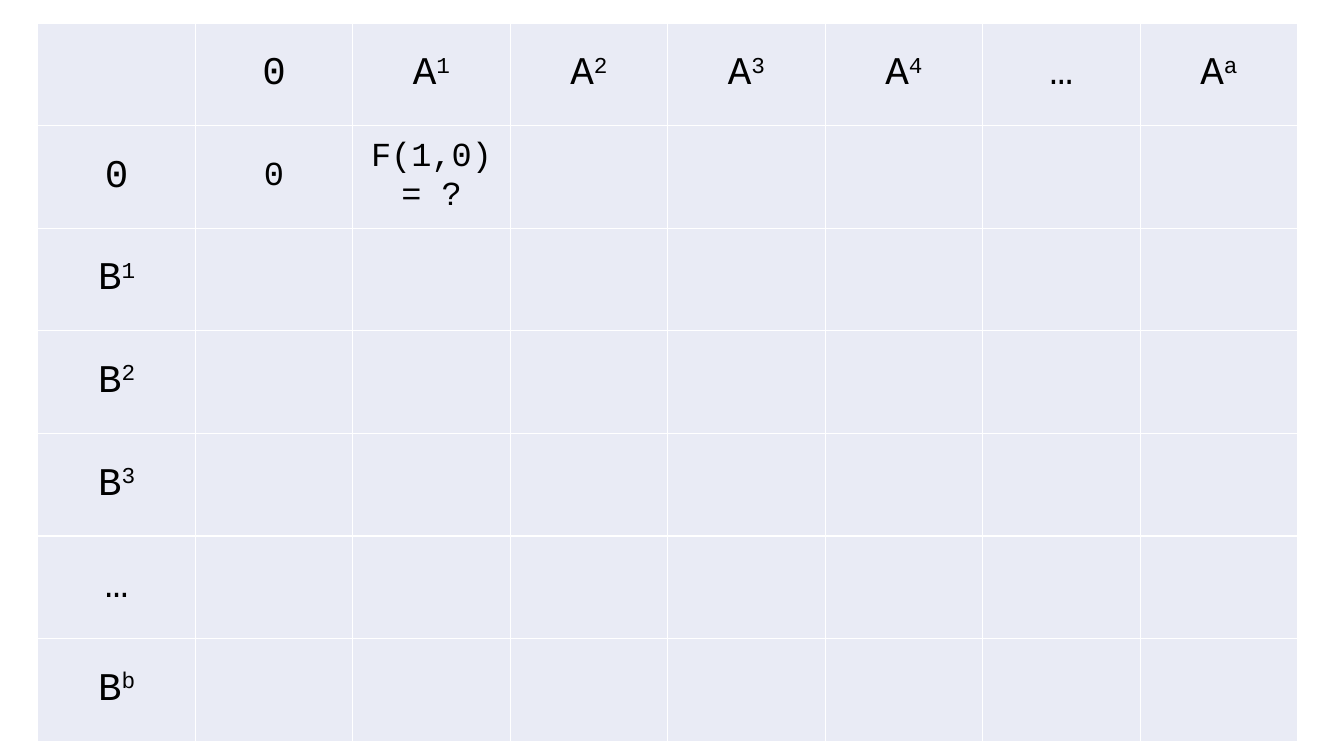
from lxml import etree
from pptx import Presentation
from pptx.dml.color import RGBColor
from pptx.enum.text import MSO_ANCHOR, PP_ALIGN
from pptx.oxml.ns import qn
from pptx.util import Pt

CENTER = PP_ALIGN.CENTER
MIDDLE = MSO_ANCHOR.MIDDLE
BLANK_LAYOUT = 6


def color(hex_string):
    return RGBColor.from_string(hex_string)


class SlideBuilder:
    font_name = "Courier New"
    text_color = "000000"
    cell_color = "E9EBF5"
    border_color = "FFFFFF"
    border_width = 1

    def __init__(self, slide):
        self.slide = slide

    def table(self, left, top, column_width, row_height, row_count, column_count, entries):
        frame = self.slide.shapes.add_table(
            row_count, column_count, Pt(left), Pt(top),
            Pt(column_width * column_count), Pt(row_height * row_count))
        table = frame.table
        table.first_row = False
        table.horz_banding = False
        for column in table.columns:
            column.width = Pt(column_width)
        for row in table.rows:
            row.height = Pt(row_height)
        for cell in table.iter_cells():
            self.borders(cell)
            cell.fill.solid()
            cell.fill.fore_color.rgb = color(self.cell_color)
        for (row_index, column_index), (base, exponent, size) in entries.items():
            self.cell_text(table.cell(row_index, column_index), base, exponent, size)

    def borders(self, cell):
        properties = cell._tc.get_or_add_tcPr()
        for side in ("a:lnL", "a:lnR", "a:lnT", "a:lnB"):
            line = etree.SubElement(properties, qn(side), w=str(Pt(self.border_width)))
            fill = etree.SubElement(line, qn("a:solidFill"))
            etree.SubElement(fill, qn("a:srgbClr"), val=self.border_color)

    def cell_text(self, cell, base, exponent, size):
        cell.vertical_anchor = MIDDLE
        paragraph = cell.text_frame.paragraphs[0]
        paragraph.alignment = CENTER
        paragraph.font.name = self.font_name
        paragraph.font.size = Pt(size)
        paragraph.font.color.rgb = color(self.text_color)
        paragraph.add_run().text = base
        if exponent:
            run = paragraph.add_run()
            run.text = exponent
            run._r.get_or_add_rPr().set("baseline", "30000")


HEADER_SIZE = 28
VALUE_SIZE = 24
column_headers = [("0", ""), ("A", "1"), ("A", "2"), ("A", "3"), ("A", "4"), ("…", ""), ("A", "a")]
row_headers = [("0", ""), ("B", "1"), ("B", "2"), ("B", "3"), ("…", ""), ("B", "b")]

entries = {(0, index): (*header, HEADER_SIZE) for index, header in enumerate(column_headers, 1)}
entries |= {(index, 0): (*header, HEADER_SIZE) for index, header in enumerate(row_headers, 1)}
entries[1, 1] = ("0", "", VALUE_SIZE)
entries[1, 2] = ("F(1,0) = ?", "", VALUE_SIZE)

presentation = Presentation()
presentation.slide_width = Pt(960)
presentation.slide_height = Pt(540)
builder = SlideBuilder(presentation.slides.add_slide(presentation.slide_layouts[BLANK_LAYOUT]))
builder.table(27, 16.5, 112.5, 73.3, len(row_headers) + 1, len(column_headers) + 1, entries)
presentation.save("out.pptx")
